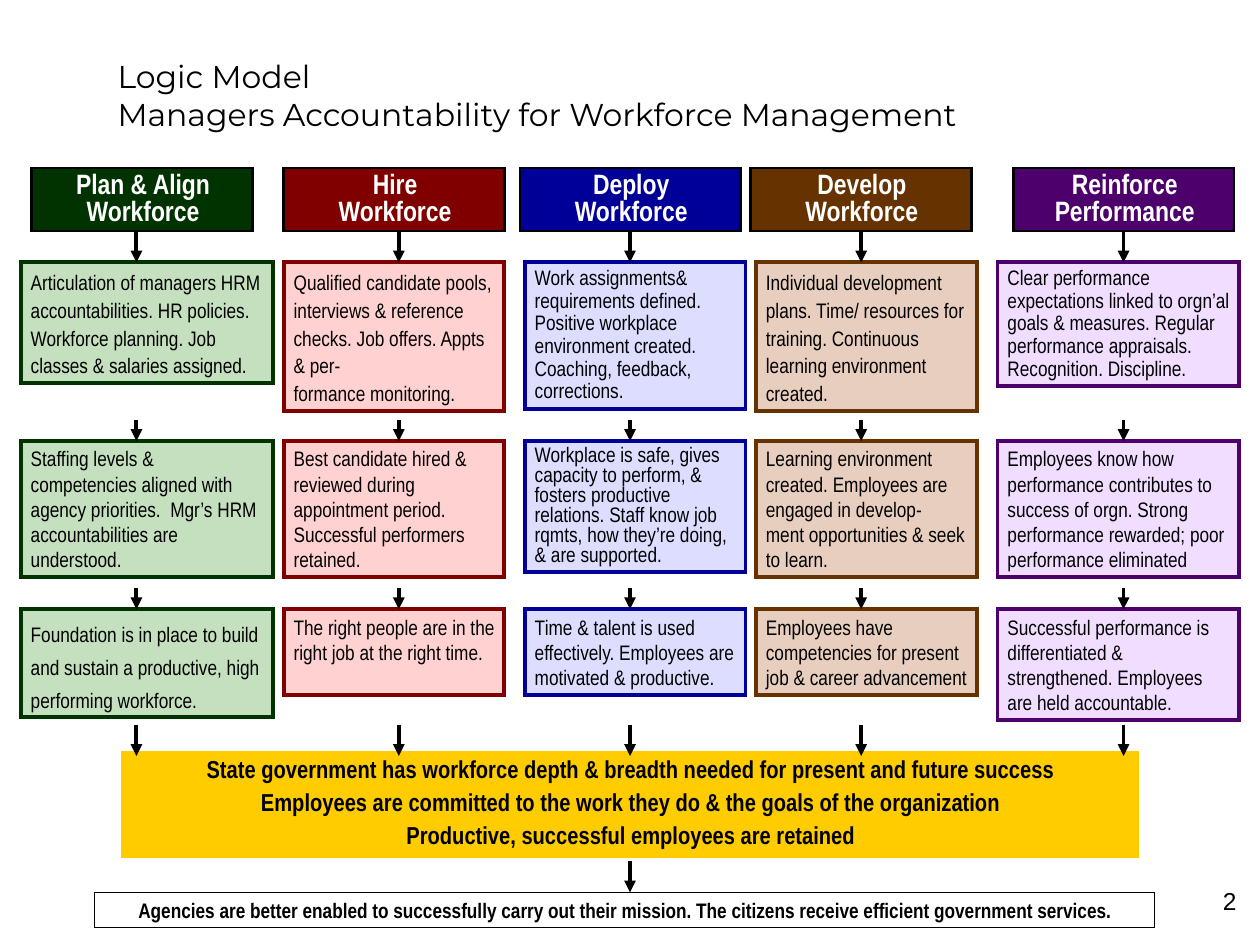
from collections import namedtuple
from copy import deepcopy

from lxml.etree import SubElement
from pptx import Presentation
from pptx.dml.color import RGBColor
from pptx.enum.shapes import MSO_CONNECTOR as Connector, MSO_SHAPE as Shape
from pptx.enum.text import MSO_ANCHOR as Anchor, MSO_AUTO_SIZE as AutoSize, PP_ALIGN as Align
from pptx.oxml.ns import qn
from pptx.util import Cm, Pt

NARROW = "Arial Narrow"
BLACK, WHITE, GOLD = "000000", "FFFFFF", "FFCC00"
HEADER_TOP, HEADER_WIDTH, HEADER_HEIGHT = 3.39, 4.45, 1.27
CARD_TOPS = (5.29, 8.89, 12.28)
ARROW_SPANS = ((4.66, 5.29), (8.47, 8.89), (11.85, 12.28), (14.61, 15.24))
BOX_INSETS = (0.2, 0.1, 0.16, 0.1)
WIDE_INSETS = (0.25, 0.13, 0.25, 0.13)

# Each card is (height, line spacing, text); left, width and axis are in cm.
Column = namedtuple("Column", "heading header_left left width axis dark light cards")
COLUMNS = (
    Column("Plan & Align Workforce", 0.64, 0.42, 5.08, 2.75, "003300", "C4E0BE", (
        (2.44, 1.1, "Articulation of managers HRM accountabilities. HR policies. "
                    "Workforce planning. Job classes & salaries assigned."),
        (2.74, 1.0, "Staffing levels & competencies aligned with agency priorities.  "
                    "Mgr’s HRM accountabilities are understood."),
        (2.18, 1.3, "Foundation is in place to build and sustain a productive, "
                    "high performing workforce."))),
    Column("Hire\nWorkforce", 5.72, 5.72, 4.45, 8.04, "800000", "FFD1D1", (
        (3.0, 1.1, "Qualified candidate pools, interviews & reference checks. "
                   "Job offers. Appts & per-\nformance monitoring."),
        (2.74, 1.0, "Best candidate hired & reviewed during appointment period. "
                    "Successful performers retained."),
        (1.73, 1.0, "The right people are in the right job at the right time."))),
    Column("Deploy\nWorkforce", 10.48, 10.58, 4.45, 12.7, "000099", "DDDDFF", (
        (2.95, 0.9, "Work assignments& requirements defined. Positive workplace "
                    "environment created. Coaching, feedback, corrections."),
        (2.64, 0.8, "Workplace is safe, gives capacity to perform, & fosters productive "
                    "relations. Staff know job rqmts, how they’re doing, & are supported."),
        (1.73, 1.0, "Time & talent is used effectively. Employees are motivated "
                    "& productive."))),
    Column("Develop Workforce", 15.13, 15.24, 4.45, 17.36, "663300", "E8CEBE", (
        (3.0, 1.1, "Individual development plans. Time/ resources for training. "
                   "Continuous learning environment created."),
        (2.74, 1.0, "Learning environment created. Employees are engaged in develop-\n"
                    "ment opportunities & seek to learn."),
        (1.73, 1.0, "Employees have competencies for present job & career advancement"))),
    Column("Reinforce Performance", 20.43, 20.11, 4.87, 22.65, "4D006C", "F0DDFF", (
        (2.49, 0.9, "Clear performance expectations linked to orgn’al goals & measures. "
                    "Regular performance appraisals. Recognition. Discipline."),
        (2.74, 1.0, "Employees know how performance contributes to success of orgn. "
                    "Strong performance rewarded; poor performance eliminated"),
        (2.23, 1.0, "Successful performance is differentiated & strengthened. "
                    "Employees are held accountable."))),
)
OUTCOMES = (
    "State government has workforce depth & breadth needed for present and future success",
    "Employees are committed to the work they do & the goals of the organization",
    "Productive, successful employees are retained",
)
MISSION = ("Agencies are better enabled to successfully carry out their mission. "
           "The citizens receive efficient government services.")


def color(hex_value):
    return RGBColor.from_string(hex_value)


def set_all(target, values):
    for name, value in values.items():
        setattr(target, name, value)


def write(frame, lines, size, ink=BLACK, font=NARROW, bold=False, align=Align.LEFT,
          spacing=1.0, gap=0, anchor=Anchor.TOP, insets=BOX_INSETS):
    """Fill a text frame with one paragraph per line; gap is the space between them."""
    left, top, right, bottom = map(Cm, insets)
    set_all(frame, dict(word_wrap=True, auto_size=AutoSize.NONE, vertical_anchor=anchor,
                        margin_left=left, margin_right=right,
                        margin_top=top, margin_bottom=bottom))
    for index, line in enumerate(lines):
        para = frame.add_paragraph() if index else frame.paragraphs[0]
        para.text = line
        set_all(para, dict(alignment=align, line_spacing=spacing,
                           space_before=Pt(gap if index else 0)))
        for span in para.runs:
            set_all(span.font, dict(name=font, size=Pt(size), bold=bold))
            span.font.color.rgb = color(ink)
        for line_break in para._p.findall(qn("a:br")):
            line_break.append(deepcopy(para.runs[0]._r.rPr))


def add_box(slide, area, fill, line, weight, lines, size, **text_format):
    box = slide.shapes.add_shape(Shape.RECTANGLE, *map(Cm, area))
    box.shadow.inherit = False
    box.fill.solid()
    box.fill.fore_color.rgb = color(fill)
    box.line.color.rgb = color(line)
    box.line.width = Pt(weight)
    SubElement(box.line._get_or_add_ln(), qn("a:miter"), lim="800000")
    write(box.text_frame, lines, size, **text_format)


def add_down_arrow(slide, axis, top, bottom):
    arrow = slide.shapes.add_connector(Connector.STRAIGHT, Cm(axis), Cm(top), Cm(axis), Cm(bottom))
    arrow.line.color.rgb = color(BLACK)
    arrow.line.width = Pt(2.25)
    SubElement(arrow.line._get_or_add_ln(), qn("a:tailEnd"), type="triangle")
    SubElement(arrow._element.spPr, qn("a:effectLst"))


def add_title(slide):
    title = slide.shapes.title
    set_all(title, dict(left=Cm(2.12), top=Cm(0.64), width=Cm(21.17), height=Cm(2.54)))
    write(title.text_frame, ["Logic Model\nManagers Accountability for Workforce Management"], 18,
          font="Montserrat", anchor=Anchor.MIDDLE, insets=WIDE_INSETS)


def add_column(slide, column):
    add_box(slide, (column.header_left, HEADER_TOP, HEADER_WIDTH, HEADER_HEIGHT),
            column.dark, BLACK, 1.5, [column.heading], 16,
            ink=WHITE, bold=True, align=Align.CENTER, spacing=0.8)
    for top, (height, spacing, text) in zip(CARD_TOPS, column.cards):
        add_box(slide, (column.left, top, column.width, height),
                column.light, column.dark, 2.25, [text], 12, spacing=spacing)


def add_page_number(slide):
    box = slide.shapes.add_textbox(Cm(19.26), Cm(17.73), Cm(5.92), Cm(1.32))
    write(box.text_frame, ["2"], 14, font="Arial", align=Align.RIGHT, insets=WIDE_INSETS)


def main():
    deck = Presentation()
    set_all(deck, dict(slide_width=Cm(25.4), slide_height=Cm(19.05)))
    slide = deck.slides.add_slide(deck.slide_layouts[5])
    add_title(slide)
    for column in COLUMNS:
        add_column(slide, column)
    add_box(slide, (2.54, 15.24, 20.32, 1.96), GOLD, GOLD, 6, OUTCOMES, 14,
            bold=True, align=Align.CENTER, spacing=0.75, gap=6.1)
    add_box(slide, (1.9, 17.99, 21.38, 0.71), WHITE, BLACK, 0.75, [MISSION], 12,
            bold=True, align=Align.CENTER)
    for column in COLUMNS:
        for top, bottom in ARROW_SPANS:
            add_down_arrow(slide, column.axis, top, bottom)
    add_down_arrow(slide, 12.7, 17.36, 17.99)
    add_page_number(slide)
    deck.save("out.pptx")


if __name__ == "__main__":
    main()
